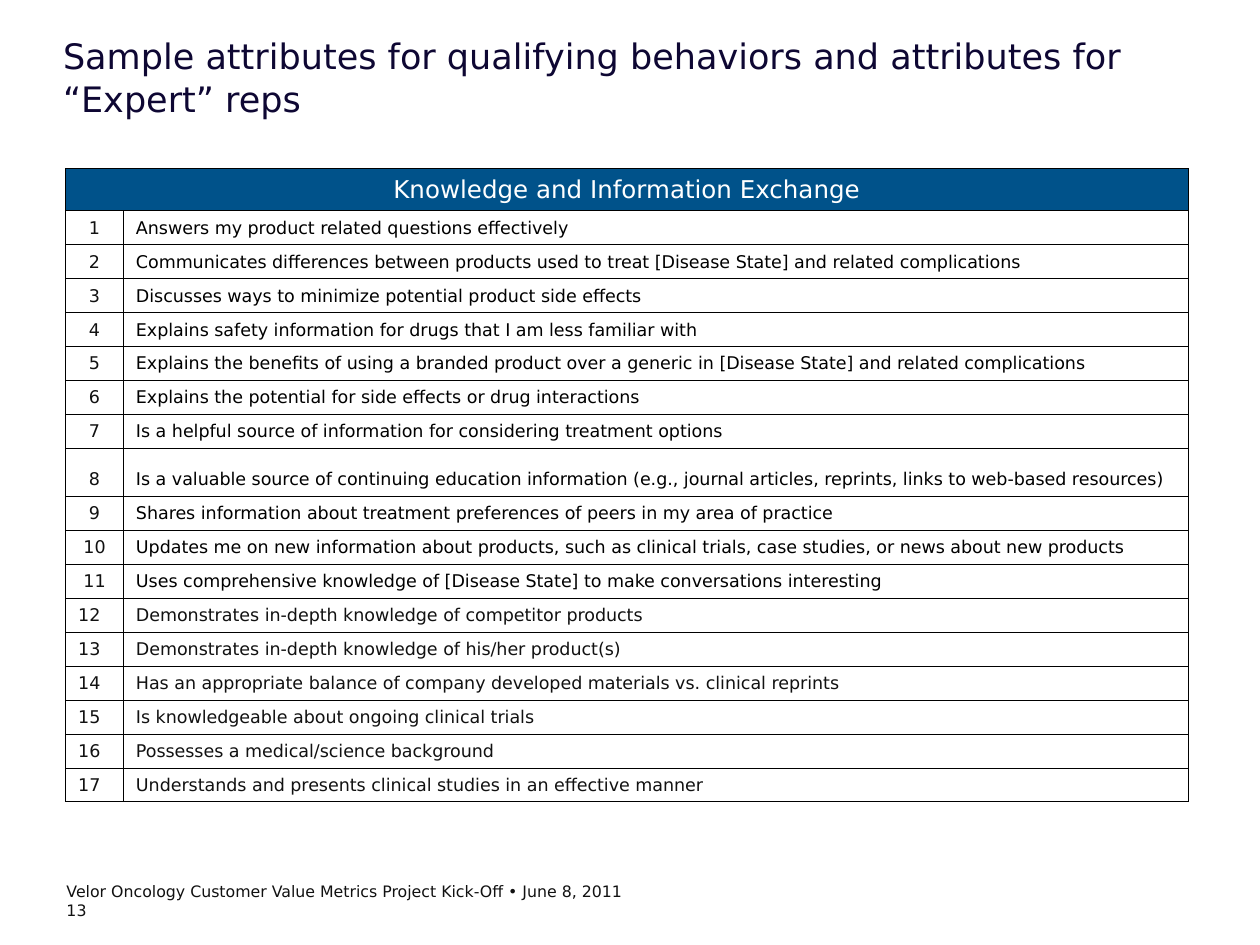
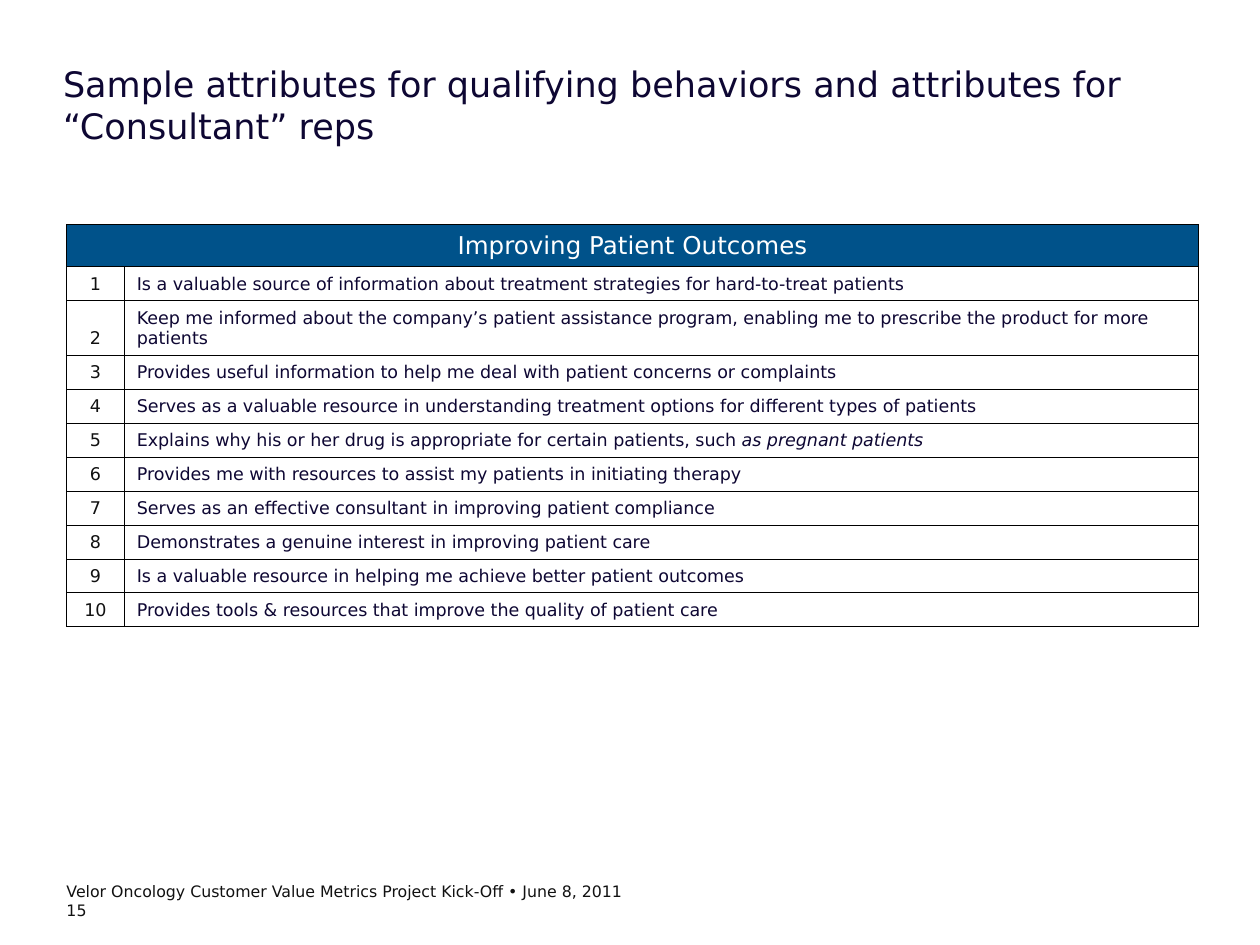
from lxml import etree
from pptx import Presentation
from pptx import util as u
from pptx.dml import color
from pptx.enum import text
from pptx.oxml import ns

FONT = "DejaVu Sans"
COLOURS = {
    "navy": "0E0733",
    "header": "00528A",
    "white": "FFFFFF",
    "ink": "111111",
    "black": "000000",
}
FOOTER = "Velor Oncology Customer Value Metrics Project Kick-Off • June 8, 2011"
TITLE = "Sample attributes for qualifying behaviors and attributes for “{}” reps"

HEADER_HEIGHT = 24.2
ROW_HEIGHT = 19.4
NUMBER_WIDTH = 33
BORDER_WIDTH = 0.45

EXPERT_ATTRIBUTES = [
    "Answers my product related questions effectively",
    "Communicates differences between products used to treat [Disease State] and related complications",
    "Discusses ways to minimize potential product side effects",
    "Explains safety information for drugs that I am less familiar with",
    "Explains the benefits of using a branded product over a generic in [Disease State] and related complications",
    "Explains the potential for side effects or drug interactions",
    "Is a helpful source of information for considering treatment options",
    "Is a valuable source of continuing education information "
    "(e.g., journal articles, reprints, links to web-based resources)",
    "Shares information about treatment preferences of peers in my area of practice",
    "Updates me on new information about products, such as clinical trials, case studies, or news about new products",
    "Uses comprehensive knowledge of [Disease State] to make conversations interesting",
]
EXPERT_EXTRAS = [
    "Demonstrates in-depth knowledge of competitor products",
    "Demonstrates in-depth knowledge of his/her product(s)",
    "Has an appropriate balance of company developed materials vs. clinical reprints",
    "Is knowledgeable about ongoing clinical trials",
    "Possesses a medical/science background",
    "Understands and presents clinical studies in an effective manner",
]
CONSULTANT_ATTRIBUTES = [
    "Is a valuable source of information about treatment strategies for hard-to-treat patients",
    "Keep me informed about the company’s patient assistance program, "
    "enabling me to prescribe the product for more patients",
    "Provides useful information to help me deal with patient concerns or complaints",
    "Serves as a valuable resource in understanding treatment options for different types of patients",
    "Explains why his or her drug is appropriate for certain patients, such ",
    "Provides me with resources to assist my patients in initiating therapy",
    "Serves as an effective consultant in improving patient compliance",
    "Demonstrates a genuine interest in improving patient care",
    "Is a valuable resource in helping me achieve better patient outcomes",
    "Provides tools & resources that improve the quality of patient care",
]


def format_runs(text_frame, size, colour, align=text.PP_ALIGN.LEFT):
    for paragraph in text_frame.paragraphs:
        paragraph.alignment = align
        for run in paragraph.runs:
            run.font.name = FONT
            run.font.size = u.Pt(size)
            run.font.color.rgb = color.RGBColor.from_string(COLOURS[colour])


def add_text(slide, content, left, top, width, height, size, colour):
    frame = slide.shapes.add_textbox(u.Pt(left), u.Pt(top), u.Pt(width), u.Pt(height)).text_frame
    frame.word_wrap = True
    frame.margin_left = frame.margin_top = frame.margin_right = frame.margin_bottom = 0
    frame.text = content
    format_runs(frame, size, colour)


def add_title(slide, role, top):
    add_text(slide, TITLE.format(role), 36, top, 654.5, 72, 20, "navy")


def add_footer(slide, number):
    add_text(slide, f"{FOOTER}\n{number}", 38, 504, 540, 25.2, 9, "ink")


def add_borders(cell):
    properties = cell._tc.get_or_add_tcPr()
    for index, side in enumerate("LRTB"):
        line = etree.Element(ns.qn(f"a:ln{side}"), w=str(u.Pt(BORDER_WIDTH)))
        fill = etree.SubElement(line, ns.qn("a:solidFill"))
        etree.SubElement(fill, ns.qn("a:srgbClr"), val=COLOURS["black"])
        properties.insert(index, line)


def fill_cell(cell, content, size, colour, align=text.PP_ALIGN.LEFT):
    cell.text_frame.text = content
    cell.vertical_anchor = text.MSO_ANCHOR.BOTTOM
    format_runs(cell.text_frame, size, colour, align)


def add_attribute_table(slide, heading, rows, left, top, text_width, tall_rows):
    """Rows are (attribute, colour, number alignment); tall_rows maps a row number to its height."""
    heights = [HEADER_HEIGHT] + [tall_rows.get(n, ROW_HEIGHT) for n in range(1, len(rows) + 1)]
    table = slide.shapes.add_table(
        len(heights), 2, u.Pt(left), u.Pt(top), u.Pt(NUMBER_WIDTH + text_width), u.Pt(sum(heights))
    ).table
    table.first_row = table.horz_banding = False
    for column, width in zip(table.columns, (NUMBER_WIDTH, text_width)):
        column.width = u.Pt(width)
    for row, height in zip(table.rows, heights):
        row.height = u.Pt(height)

    header = table.cell(0, 0)
    header.merge(table.cell(0, 1))
    fill_cell(header, heading, 14, "white", text.PP_ALIGN.CENTER)
    for number, (attribute, colour, align) in enumerate(rows, 1):
        fill_cell(table.cell(number, 0), str(number), 10, "ink", align)
        fill_cell(table.cell(number, 1), attribute, 10, colour)

    for cell in table.iter_cells():
        cell.fill.background()
        add_borders(cell)
    header.fill.solid()
    header.fill.fore_color.rgb = color.RGBColor.from_string(COLOURS["header"])
    return table


def append_italic(cell, content):
    paragraph = cell.text_frame.paragraphs[0]
    paragraph.add_run().text = content
    format_runs(cell.text_frame, 10, "navy")
    paragraph.runs[-1].font.italic = True


def add_expert_slide(presentation):
    slide = presentation.slides.add_slide(presentation.slide_layouts[6])
    add_title(slide, "Expert", 20)
    rows = [(attribute, "black", text.PP_ALIGN.CENTER) for attribute in EXPERT_ATTRIBUTES]
    rows += [(attribute, "ink", text.PP_ALIGN.LEFT) for attribute in EXPERT_EXTRAS]
    add_attribute_table(slide, "Knowledge and Information Exchange", rows, 37.5, 96.3, 608.5, {8: 27.5})
    add_footer(slide, 13)


def add_consultant_slide(presentation):
    slide = presentation.slides.add_slide(presentation.slide_layouts[6])
    add_title(slide, "Consultant", 36)
    rows = [(attribute, "navy", text.PP_ALIGN.CENTER) for attribute in CONSULTANT_ATTRIBUTES]
    table = add_attribute_table(slide, "Improving Patient Outcomes", rows, 38, 128.2, 614, {2: 30.6})
    append_italic(table.cell(5, 1), "as pregnant patients")
    add_footer(slide, 15)


def main():
    presentation = Presentation()
    presentation.slide_width, presentation.slide_height = u.Pt(720), u.Pt(540)
    add_expert_slide(presentation)
    add_consultant_slide(presentation)
    presentation.save("out.pptx")


if __name__ == "__main__":
    main()
